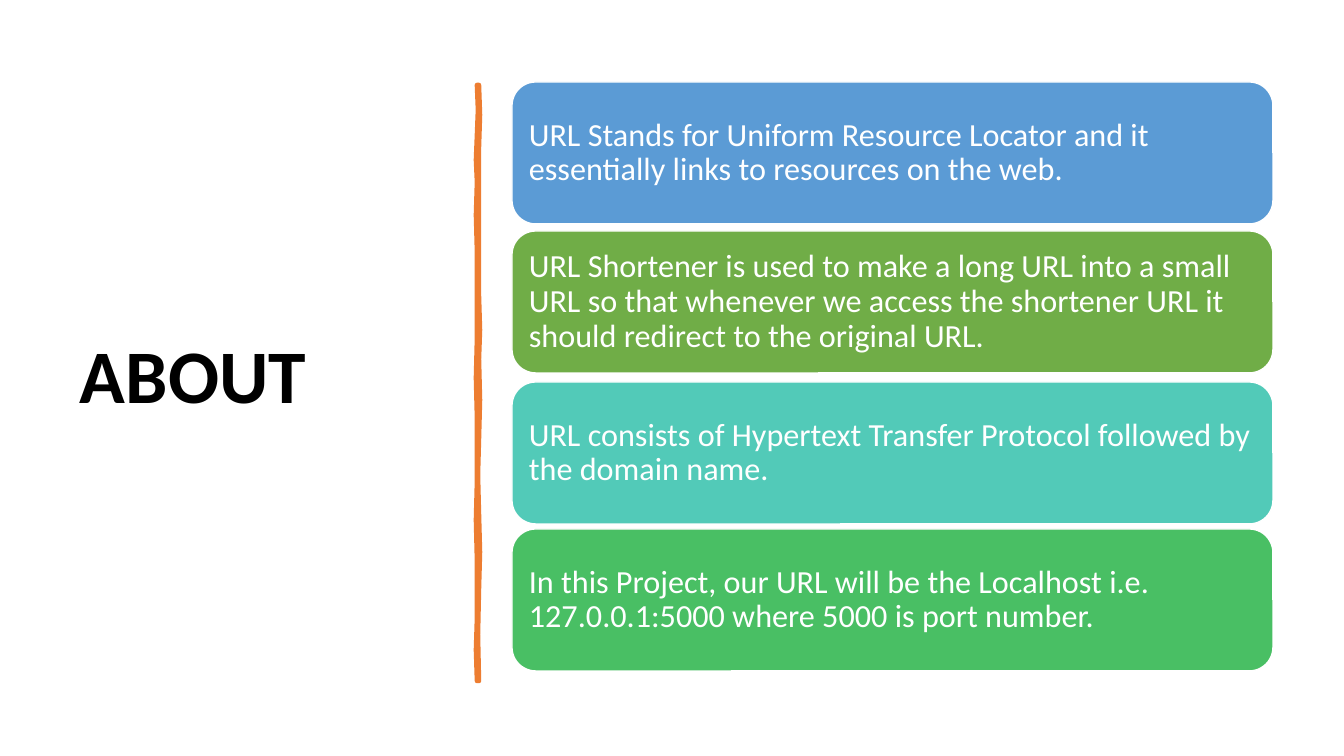
from lxml.etree import SubElement
from pptx import Presentation
from pptx.dml.color import RGBColor
from pptx.enum.shapes import MSO_SHAPE
from pptx.enum.text import MSO_ANCHOR, PP_ALIGN
from pptx.oxml.ns import qn
from pptx.util import Pt

PX = 914400 / 100.8
COLORS = {
    "black": "000000",
    "white": "FFFFFF",
    "orange": "ED7D31",
    "blue": "5B9BD5",
    "green": "70AD47",
    "teal": "52CAB8",
    "emerald": "49BF64",
}
TITLE_FONT = {"name": "Calibri", "size": Pt(54), "bold": True}
CARD_FONT = {"name": "Calibri", "size": Pt(23), "bold": False}
CARDS = [
    (82, "blue", "URL Stands for Uniform Resource Locator and it essentially links to "
     "resources on the web."),
    (231, "green", "URL Shortener is used to make a long URL into a small URL so that "
     "whenever we access the shortener URL it should redirect to the original URL."),
    (382, "teal", "URL consists of Hypertext Transfer Protocol followed by the domain name."),
    (529, "emerald", "In this Project, our URL will be the Localhost i.e. 127.0.0.1:5000 "
     "where 5000 is port number."),
]
BAR_RIGHT = [
    (2, 0), (3, 30), (2, 62), (2, 143), (2, 211), (3, 245), (2, 274), (3, 315), (2, 354),
    (1, 390), (2, 429), (3, 467), (2, 504), (1, 550), (2, 596),
]
BAR_LEFT = [
    (0, 596), (-1, 565), (0, 533), (0, 476), (-1, 435), (0, 396), (0, 333), (-1, 293),
    (0, 253), (0, 167), (-1, 130), (0, 97), (-1, 75), (1, 25), (0, 0),
]


def px(length):
    return round(length * PX)


def color(name):
    return RGBColor.from_string(COLORS[name])


def paint(shape, fill, line, width):
    shape.shadow.inherit = False
    shape.fill.solid()
    shape.fill.fore_color.rgb = color(fill)
    shape.line.color.rgb = color(line)
    shape.line.width = Pt(width)


def write(shape, text, font, ink, inset, space_after):
    frame = shape.text_frame
    frame.word_wrap = True
    frame.vertical_anchor = MSO_ANCHOR.MIDDLE
    for side, length in zip(("left", "top", "right", "bottom"), inset):
        setattr(frame, f"margin_{side}", px(length))
    paragraph = frame.paragraphs[0]
    paragraph.alignment = PP_ALIGN.LEFT
    paragraph.line_spacing = 0.9
    paragraph.space_after = Pt(space_after)
    run = paragraph.add_run()
    run.text = text
    for key, value in font.items():
        setattr(run.font, key, value)
    run.font.color.rgb = color(ink)


def add_title(slide, left, top, width, height):
    box = slide.shapes.add_textbox(px(left), px(top), px(width), px(height))
    write(box, "ABOUT", TITLE_FONT, "black", (10, 5, 10, 5), 6)


def add_brush_bar(slide, left, top):
    outline = [(left + x, top + y) for x, y in BAR_RIGHT + BAR_LEFT]
    builder = slide.shapes.build_freeform(*outline[0], scale=PX)
    builder.add_line_segments(outline[1:], close=True)
    bar = builder.convert_to_shape()
    paint(bar, "orange", "orange", 3.25)
    SubElement(bar.line._get_or_add_ln(), qn("a:round"))


def add_cards(slide, left, width, height):
    for top, fill, text in CARDS:
        card = slide.shapes.add_shape(
            MSO_SHAPE.ROUNDED_RECTANGLE, px(left), px(top), px(width), px(height))
        paint(card, fill, "white", 1)
        write(card, text, CARD_FONT, "white", (10, 10, 10, 10), 0)


def main():
    presentation = Presentation()
    presentation.slide_width = px(1344)
    presentation.slide_height = px(756)
    slide = presentation.slides.add_slide(presentation.slide_layouts[6])
    add_title(slide, 70, 71, 377, 616)
    add_brush_bar(slide, 477, 85)
    add_cards(slide, 512, 761, 142)
    presentation.save("out.pptx")


if __name__ == "__main__":
    main()
